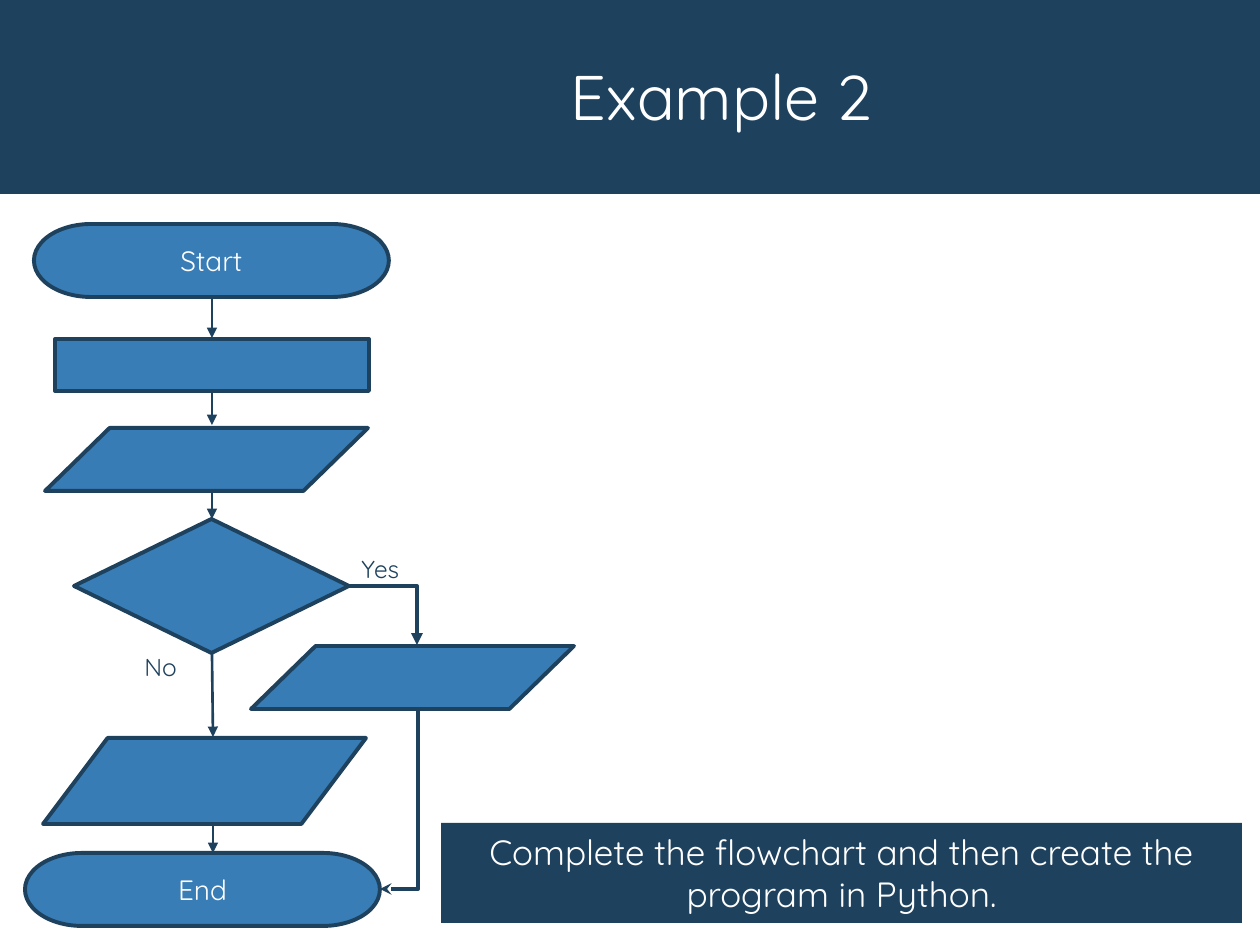
"""Builds the Example 2 flowchart slide."""
from lxml import etree
from pptx import Presentation
from pptx import util as u
from pptx.dml.color import RGBColor
from pptx.enum import shapes, text
from pptx.oxml import ns

PX = u.Inches(1) / 126
NAVY = RGBColor(0x1E, 0x41, 0x5E)
BLUE = RGBColor(0x38, 0x7D, 0xB6)
DATA_BLUE = RGBColor(0x38, 0x7C, 0xB5)
WHITE = RGBColor(0xFF, 0xFF, 0xFF)
KIND = shapes.MSO_SHAPE
CENTER = text.PP_ALIGN.CENTER
MIDDLE = text.MSO_ANCHOR.MIDDLE


def emu(*lengths):
    return [u.Emu(round(length * PX)) for length in lengths]


def set_all(target, values):
    for name, value in values.items():
        setattr(target, name, value)


def write(frame, wording, size, color, align=None, anchor=None):
    set_all(frame, {"text": wording, "word_wrap": True, "vertical_anchor": anchor,
                    "auto_size": text.MSO_AUTO_SIZE.NONE})
    paragraph = frame.paragraphs[0]
    paragraph.alignment = align
    run = paragraph.runs[0]
    set_all(run.font, {"name": "Quicksand", "size": u.Pt(size)})
    run.font.color.rgb = color


def add_block(slide, kind, box, fill, outline=True):
    block = slide.shapes.add_shape(kind, *emu(*box))
    block.shadow.inherit = False
    block.fill.solid()
    block.fill.fore_color.rgb = fill
    if outline:
        block.line.color.rgb = NAVY
        block.line.width = u.Pt(2.25)
    else:
        block.line.fill.background()
    return block


def add_title(slide, wording):
    band = add_block(slide, KIND.RECTANGLE, (0, 0, 1260, 194), NAVY, outline=False)
    title = slide.shapes.title
    title._element.addprevious(band._element)
    set_all(title, dict(zip(("left", "top", "width", "height"), emu(183, 30, 1077, 140))))
    write(title.text_frame, wording, 36, WHITE, CENTER, MIDDLE)
    title.text_frame.paragraphs[0].line_spacing = 0.9


def add_terminator(slide, wording, left, top):
    terminator = add_block(slide, KIND.FLOWCHART_TERMINATOR, (left, top, 355, 73), BLUE)
    write(terminator.text_frame, wording, 16, WHITE, CENTER, MIDDLE)


def add_arrow(slide, ends, width=1.5, head="triangle", kind=shapes.MSO_CONNECTOR.STRAIGHT):
    arrow = slide.shapes.add_connector(kind, *emu(*ends))
    arrow.line.color.rgb = NAVY
    arrow.line.width = u.Pt(width)
    etree.SubElement(arrow.line._get_or_add_ln(), ns.qn("a:tailEnd"), type=head)
    etree.SubElement(arrow._element.spPr, ns.qn("a:effectLst"))
    return arrow


def add_bent_arrow(slide, ends, head="triangle", degrees=0):
    arrow = add_arrow(slide, ends, 2.25, head, shapes.MSO_CONNECTOR.ELBOW)
    properties = arrow._element.spPr
    properties.find(ns.qn("a:prstGeom")).set("prst", "bentConnector2")
    if degrees:
        properties.find(ns.qn("a:xfrm")).set("rot", str(degrees * 60000))


def add_branch_label(slide, wording, box):
    label = slide.shapes.add_textbox(*emu(*box))
    write(label.text_frame, wording, 14, NAVY)


def main():
    deck = Presentation()
    set_all(deck, {"slide_width": u.Inches(10), "slide_height": u.Inches(7.5)})
    slide = deck.slides.add_slide(deck.slide_layouts[5])
    add_title(slide, "Example 2")

    add_terminator(slide, "Start", 34, 224)
    add_terminator(slide, "End", 25, 853)
    for ends in ((212, 297, 212, 338), (212, 391, 212, 425), (212, 484, 212, 519),
                 (212, 653, 213, 737), (213, 823, 213, 853)):
        add_arrow(slide, ends)
    add_bent_arrow(slide, (349, 586, 417, 645))
    add_bent_arrow(slide, (310, 781, 488, 819), "stealth", 90)

    add_block(slide, KIND.FLOWCHART_DECISION, (74, 519, 275, 134), BLUE)
    process = add_block(slide, KIND.ROUNDED_RECTANGLE, (55, 339, 314, 52), BLUE)
    process.adjustments[0] = 0
    for left, top, height in ((45, 428, 63), (251, 646, 63), (43, 738, 86)):
        add_block(slide, KIND.FLOWCHART_DATA, (left, top, 323, height), DATA_BLUE)

    add_branch_label(slide, "No", (132, 646, 66, 43))
    add_branch_label(slide, "Yes", (349, 548, 87, 43))
    task = add_block(slide, KIND.RECTANGLE, (441, 823, 801, 100), NAVY, outline=False)
    write(task.text_frame, "Complete the flowchart and then create the program in Python.",
          20, WHITE, CENTER, MIDDLE)
    deck.save("out.pptx")


if __name__ == "__main__":
    main()
